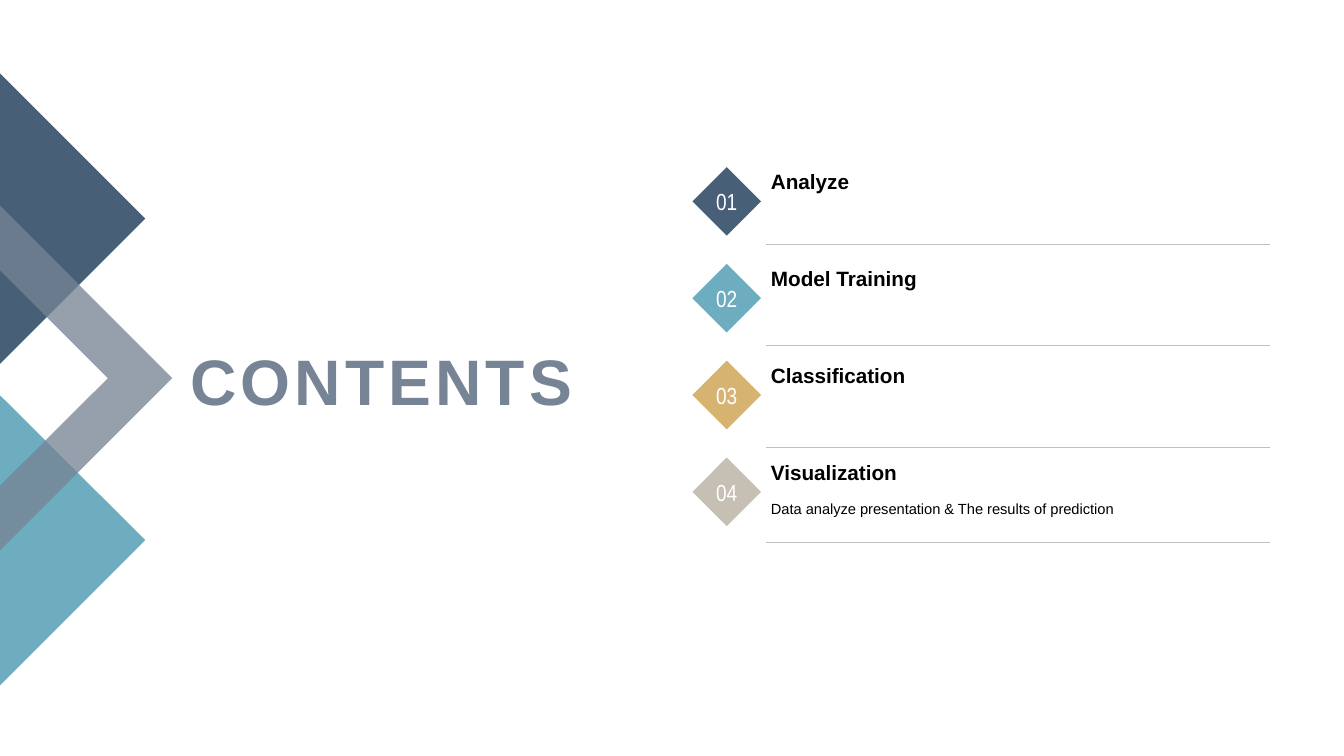
"""Build a contents slide with four numbered sections and a diamond motif."""
from lxml import etree
from pptx import Presentation
from pptx.dml.color import RGBColor
from pptx.enum.shapes import MSO_CONNECTOR, MSO_SHAPE
from pptx.enum.text import MSO_ANCHOR as ANCHOR, PP_ALIGN as ALIGN
from pptx.oxml.ns import qn
from pptx.util import Cm, Pt

COLORS = {
    "navy": "475F77", "teal": "6DADBF", "gold": "D7B371", "stone": "C5BFB4",
    "slate": "778495", "rule": "BFBFBF", "black": "000000", "white": "FFFFFF",
}


def write(holder, text, size, color="black", font="Arial", bold=False, align=ALIGN.LEFT,
          anchor=ANCHOR.MIDDLE, wrap=False, tracking=0, line_spacing=1.0):
    """Fill a shape or text box with one formatted line."""
    frame = holder.text_frame
    frame.word_wrap = wrap
    frame.vertical_anchor = anchor
    paragraph = frame.paragraphs[0]
    paragraph.alignment = align
    paragraph.line_spacing = line_spacing
    run = paragraph.add_run()
    run.text = text
    run.font.name = font
    run.font.size = Pt(size)
    run.font.bold = bold
    run.font.color.rgb = RGBColor.from_string(COLORS[color])
    if tracking:
        run.font._element.set("spc", str(tracking * 100))


def paint(shape, color):
    """Give a shape a plain fill without line or shadow."""
    shape.shadow.inherit = False
    shape.fill.solid()
    shape.fill.fore_color.rgb = RGBColor.from_string(COLORS[color])
    shape.line.fill.background()


deck = Presentation()
deck.slide_width, deck.slide_height = Cm(33.87), Cm(19.05)
slide = deck.slides.add_slide(deck.slide_layouts[6])
shapes = slide.shapes

motif = [
    ("teal", [(0, 9.96), (3.66, 13.61), (0, 17.27)]),
    ("navy", [(0, 1.85), (3.66, 5.51), (0, 9.17)]),
    ("slate", [(4.34, 9.53), (0, 13.87), (0, 12.24), (2.72, 9.53), (0, 6.81), (0, 5.18)]),
]
for color, corners in motif:
    points = [(Cm(x), Cm(y)) for x, y in corners]
    outline = shapes.build_freeform(*points[0])
    outline.add_line_segments(points[1:], close=True)
    piece = outline.convert_to_shape()
    paint(piece, color)

chevron_color = piece.fill._xPr.find(qn("a:solidFill"))[0]
etree.SubElement(chevron_color, qn("a:alpha")).set("val", "77000")

heading = shapes.add_textbox(Cm(4.29), Cm(8.28), Cm(10.39), Cm(2.57))
write(heading, "CONTENTS", 45.9, color="slate", bold=True, align=ALIGN.RIGHT,
      wrap=True, tracking=3)

sections = [
    ("Analyze", "navy", 6.15),
    ("Model Training", "teal", 8.71),
    ("Classification", "gold", 11.28),
    ("Visualization", "stone", 13.67),
]
for index, (section, color, rule_y) in enumerate(sections):
    offset = 2.44 * index
    diamond = shapes.add_shape(MSO_SHAPE.DIAMOND, Cm(17.45), Cm(4.21 + offset),
                               Cm(1.73), Cm(1.73))
    paint(diamond, color)
    write(diamond, f"{index + 1:02}", 16.6, color="white", font="Arial Narrow",
          align=ALIGN.CENTER)

    label = shapes.add_textbox(Cm(19.18), Cm(4.17 + offset), Cm(11), Cm(0.84))
    write(label, section, 14.8, bold=True, anchor=ANCHOR.BOTTOM)

    rule = shapes.add_connector(MSO_CONNECTOR.STRAIGHT, Cm(19.3), Cm(rule_y),
                                Cm(32), Cm(rule_y))
    rule.line.color.rgb = RGBColor.from_string(COLORS["rule"])
    rule.line.width = Pt(0.25)
    etree.SubElement(rule._element.spPr, qn("a:effectLst"))

detail = shapes.add_textbox(Cm(19.18), Cm(12.34), Cm(11), Cm(0.89))
write(detail, "Data analyze presentation & The results of prediction", 10.5,
      wrap=True, line_spacing=1.2)

deck.save("out.pptx")
